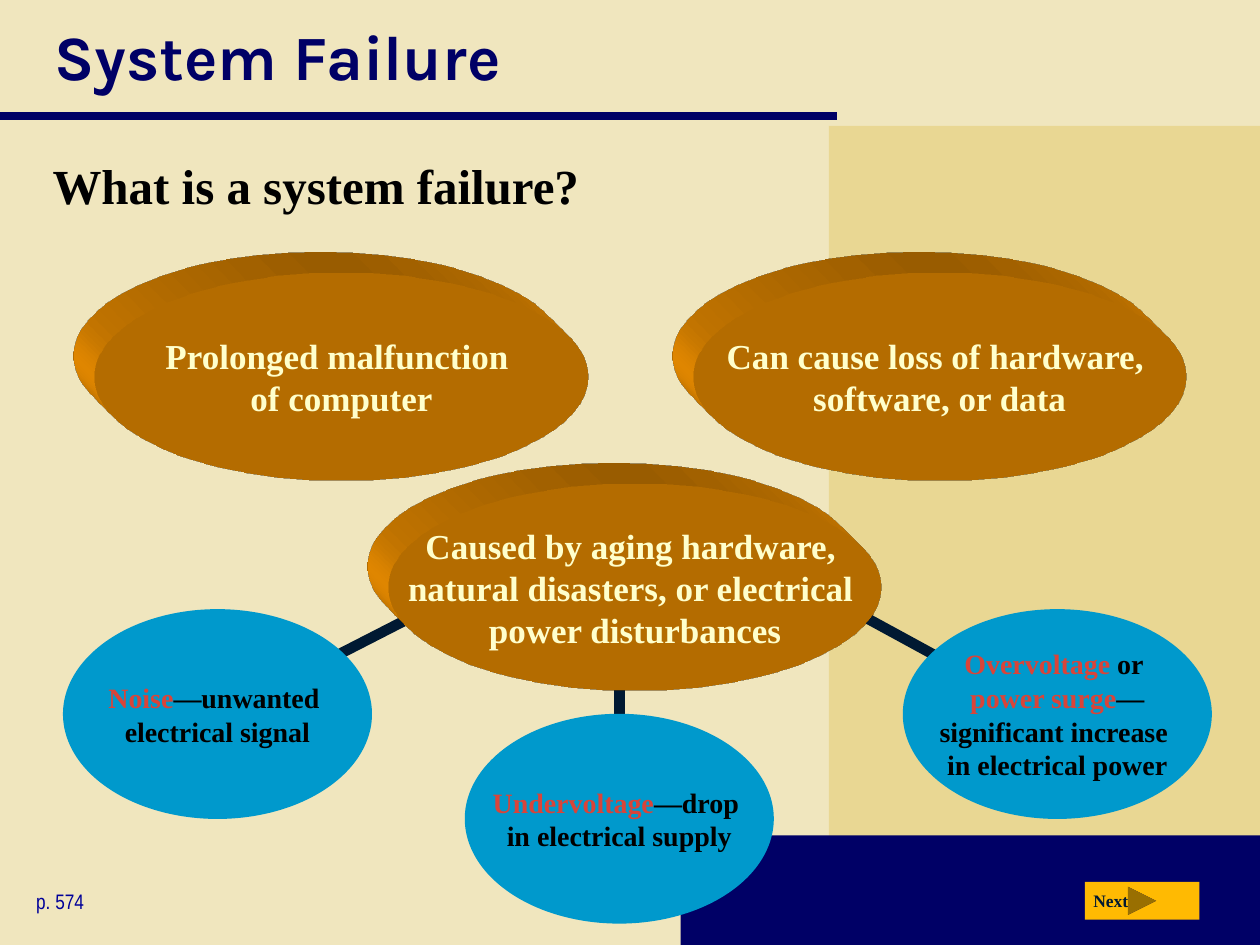
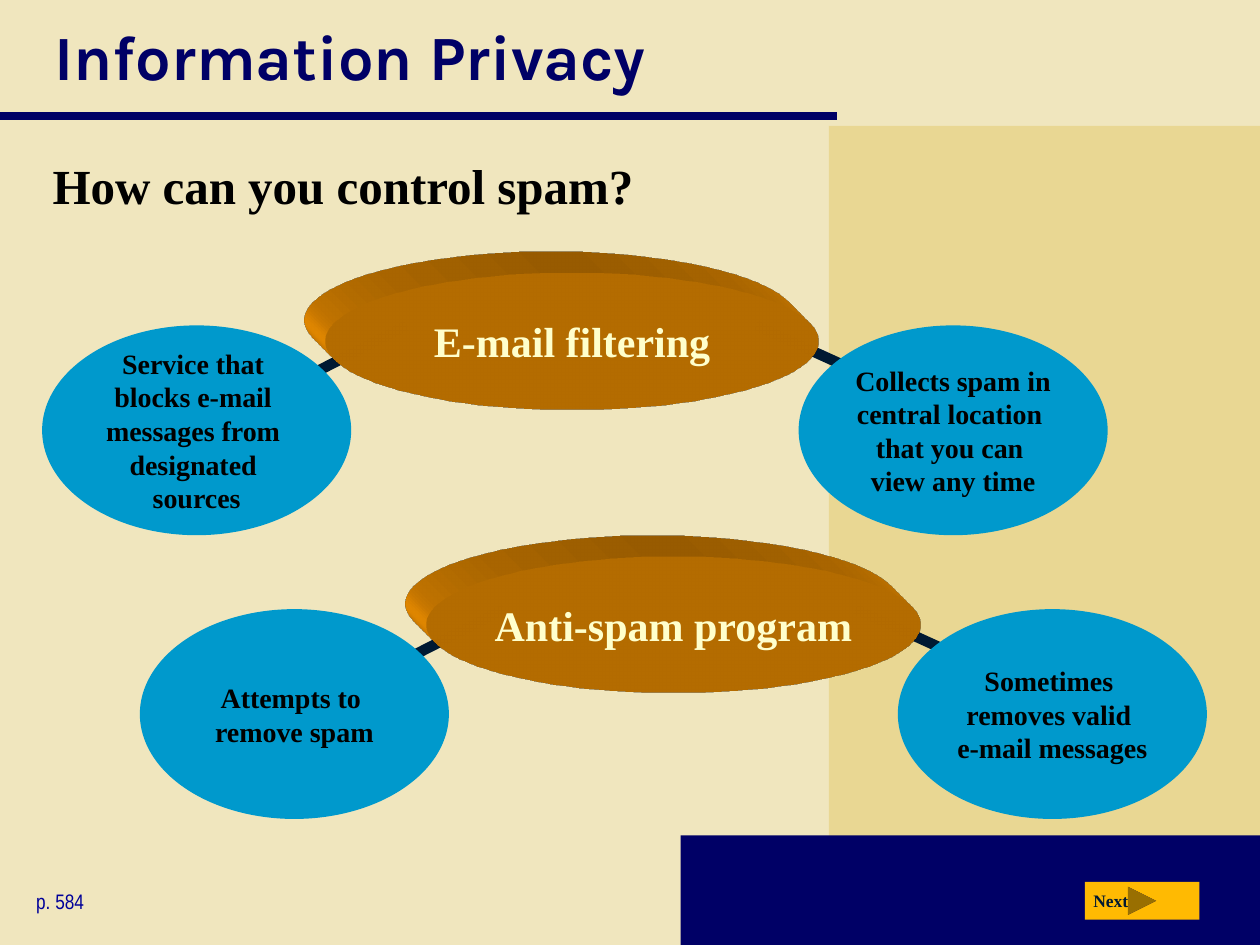
import pptx
import pptx.util
import pptx.oxml
import pptx.dml.color
import pptx.enum.shapes
import pptx.enum.text

Cm = pptx.util.Cm
Pt = pptx.util.Pt
MSO_SHAPE = pptx.enum.shapes.MSO_SHAPE
PP_ALIGN = pptx.enum.text.PP_ALIGN
MSO_ANCHOR = pptx.enum.text.MSO_ANCHOR
NS = 'xmlns:a="http://schemas.openxmlformats.org/drawingml/2006/main"'

COLORS = {
    "cream": "F0E6BE",
    "sand": "E9D793",
    "navy": "000066",
    "page": "000099",
    "ink": "001932",
    "blue": "0099CC",
    "orange": "FF9900",
    "button": "FFBA02",
    "pale": "FFFFCC",
    "red": "D94439",
    "black": "000000",
}
RGB = {k: pptx.dml.color.RGBColor.from_string(v) for k, v in COLORS.items()}

FORMATS = {
    "title": {"name": "Karla", "size": Pt(36), "bold": True},
    "question": {"name": "Times New Roman", "size": Pt(28), "bold": True},
    "page": {"name": "Arial Narrow", "size": Pt(12)},
    "next": {"name": "Times New Roman", "size": Pt(10), "bold": True},
    "detail": {"name": "Times New Roman", "size": Pt(16), "bold": True},
    "cause": {"name": "Times New Roman", "size": Pt(20), "bold": True},
    "method": {"name": "Times New Roman", "size": Pt(24), "bold": True},
}

SCENE = f"""<a:scene3d {NS}><a:camera prst="legacyObliqueTopLeft"/>
<a:lightRig rig="legacyFlat3" dir="t"/></a:scene3d>"""
EXTRUSION = f"""<a:sp3d {NS} extrusionH="430200" prstMaterial="legacyMatte">
<a:extrusionClr><a:srgbClr val="{COLORS['orange']}"/></a:extrusionClr></a:sp3d>"""

SLIDES = [
    {
        "title": "System Failure",
        "question": "What is a system failure?",
        "page": "p. 574",
        "links": [
            (12.49, 12.7, 12.49, 15.45),
            (19.47, 13.55, 17.14, 12.28),
            (8.61, 12.28, 5.72, 13.76),
        ],
        "details": [
            (9.37, 14.39, "*Undervoltage*—drop \nin electrical supply"),
            (18.2, 12.28, "*Overvoltage* or \n*power surge*—\nsignificant increase \nin electrical power"),
            (1.27, 12.28, "*Noise*—unwanted \nelectrical signal"),
        ],
        "style": "cause",
        "height": 4.19,
        "topics": [
            (7.83, 9.74, "Caused by aging hardware, \nnatural disasters, or electrical \npower disturbances"),
            (13.97, 5.5, "Can cause loss of hardware, \nsoftware, or data"),
            (1.91, 5.5, "Prolonged malfunction \nof computer"),
        ],
    },
    {
        "title": "Information Privacy",
        "question": "How can you control spam?",
        "page": "p. 584",
        "links": [
            (17.57, 7.62, 15.24, 6.56),
            (8.2, 6.56, 5.29, 8.05),
            (19.58, 13.34, 17.25, 12.28),
            (10.16, 12.28, 7.26, 13.76),
        ],
        "details": [
            (16.1, 6.56, "Collects spam in\ncentral location \nthat you can \nview any time"),
            (0.85, 6.56, "Service that \nblocks e-mail \nmessages from \ndesignated \nsources"),
            (18.1, 12.28, "Sometimes \nremoves valid \ne-mail messages"),
            (2.82, 12.28, "Attempts to \nremove spam"),
        ],
        "style": "method",
        "height": 2.75,
        "topics": [
            (6.56, 5.5, "E-mail filtering"),
            (8.6, 11.22, "Anti-spam program"),
        ],
    },
]


def write(sp, text, style, color, align=PP_ALIGN.LEFT, anchor=MSO_ANCHOR.TOP, wrap=True):
    tf = sp.text_frame
    tf.word_wrap = wrap
    tf.vertical_anchor = anchor
    p = tf.paragraphs[0]
    p.alignment = align
    for i, part in enumerate(text.split("*")):
        for j, line in enumerate(part.split("\n")):
            if j:
                p.add_line_break()
            if line:
                r = p.add_run()
                r.text = line
                for key, value in FORMATS[style].items():
                    setattr(r.font, key, value)
                r.font.color.rgb = RGB["red" if i % 2 else color]


def draw(s, kind, box, color):
    sp = s.shapes.add_shape(kind, *map(Cm, box))
    sp.shadow.inherit = False
    sp.fill.solid()
    sp.fill.fore_color.rgb = RGB[color]
    sp.line.fill.background()
    return sp


prs = pptx.Presentation()
prs.slide_width, prs.slide_height = Cm(25.4), Cm(19.05)
fill = prs.slide_master.background.fill
fill.solid()
fill.fore_color.rgb = RGB["cream"]

for data in SLIDES:
    s = prs.slides.add_slide(prs.slide_layouts[5])

    draw(s, MSO_SHAPE.RECTANGLE, (16.71, 2.54, 8.69, 16.51), "sand")
    draw(s, MSO_SHAPE.RECTANGLE, (13.72, 16.84, 11.68, 2.21), "navy")

    title = s.shapes.title
    title.left, title.top, title.width, title.height = map(Cm, (0.84, 0, 23.85, 2.24))
    write(title, data["title"], "title", "navy", anchor=MSO_ANCHOR.MIDDLE)

    for left, top, width, height, style, color in [
        (0.81, 3.02, 23.85, 2.06, "question", "black"),
        (0.48, 17.78, 4.29, 0.76, "page", "page"),
    ]:
        sp = s.shapes.add_textbox(Cm(left), Cm(top), Cm(width), Cm(height))
        write(sp, data[style], style, color)

    draw(s, MSO_SHAPE.ACTION_BUTTON_FORWARD_OR_NEXT, (21.87, 17.78, 2.31, 0.76), "button")
    sp = s.shapes.add_textbox(Cm(21.79), Cm(17.81), Cm(1.3), Cm(0.69))
    write(sp, "Next", "next", "ink")

    lines = [((0, 2.34, 16.87, 2.34), "navy", 5)]
    lines += [(ends, "ink", 6) for ends in data["links"]]
    for ends, color, weight in lines:
        cx = s.shapes.add_connector(pptx.enum.shapes.MSO_CONNECTOR.STRAIGHT, *map(Cm, ends))
        cx.line.color.rgb = RGB[color]
        cx.line.width = Pt(weight)
        cx._element.spPr.append(pptx.oxml.parse_xml(f"<a:effectLst {NS}/>"))

    for left, top, text in data["details"]:
        sp = draw(s, MSO_SHAPE.OVAL, (left, top, 6.23, 4.23), "blue")
        write(sp, text, "detail", "black", PP_ALIGN.CENTER, MSO_ANCHOR.MIDDLE, False)

    for left, top, text in data["topics"]:
        sp = draw(s, MSO_SHAPE.OVAL, (left, top, 9.95, data["height"]), "orange")
        write(sp, text, data["style"], "pale", PP_ALIGN.CENTER, MSO_ANCHOR.MIDDLE, False)
        for xml in (SCENE, EXTRUSION):
            sp._element.spPr.append(pptx.oxml.parse_xml(xml))

prs.save("out.pptx")
